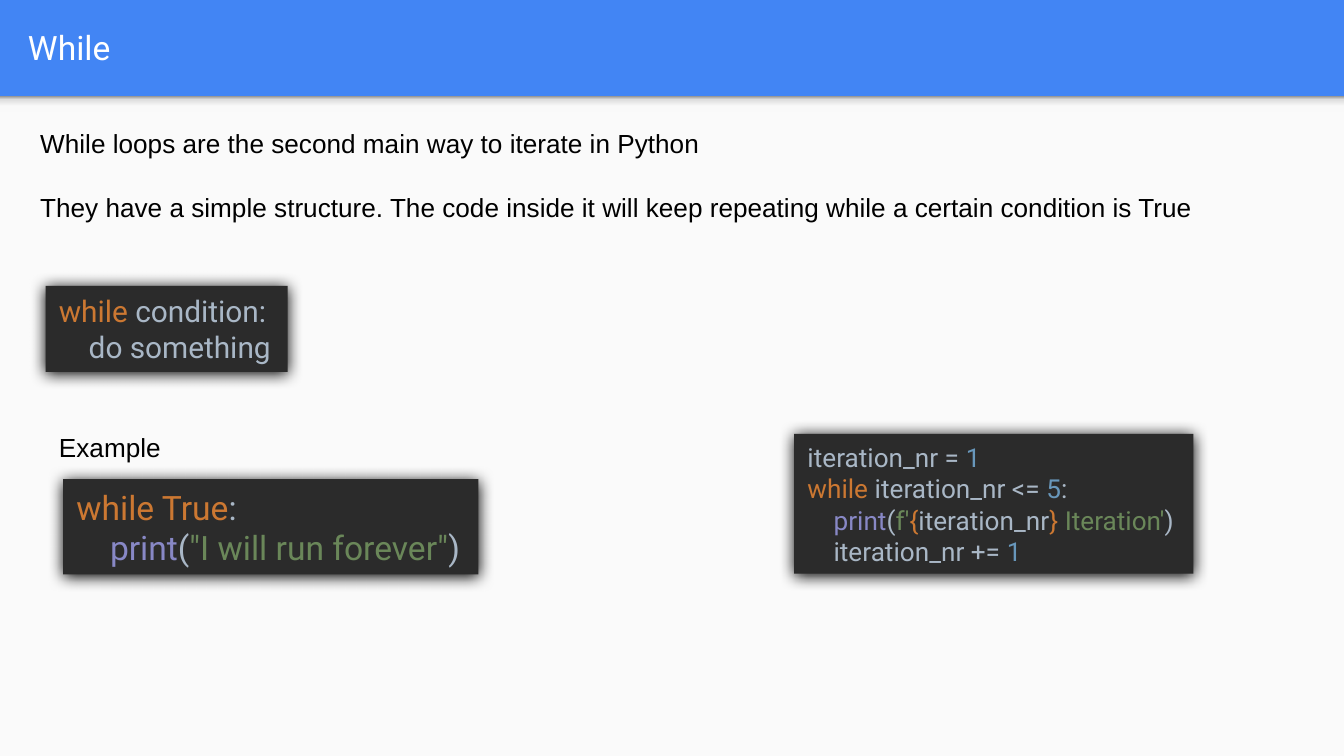
from lxml import etree
from pptx import Presentation
from pptx.dml.color import RGBColor
from pptx.enum.shapes import MSO_SHAPE
from pptx.enum.text import MSO_ANCHOR, MSO_AUTO_SIZE
from pptx.oxml.ns import qn
from pptx.util import Inches, Pt

RECTANGLE = MSO_SHAPE.RECTANGLE
MIDDLE = MSO_ANCHOR.MIDDLE
GROW = MSO_AUTO_SIZE.SHAPE_TO_FIT_TEXT

BLUE = RGBColor(0x42, 0x85, 0xF4)
PAPER = RGBColor(0xFA, 0xFA, 0xFA)
WHITE = RGBColor(0xFF, 0xFF, 0xFF)
BLACK = RGBColor(0x00, 0x00, 0x00)
EDITOR = RGBColor(0x2B, 0x2B, 0x2B)
KEYWORD = RGBColor(0xCC, 0x78, 0x32)
PLAIN = RGBColor(0xA9, 0xB7, 0xC6)
BUILTIN = RGBColor(0x88, 0x88, 0xC6)
STRING = RGBColor(0x6A, 0x87, 0x59)
NUMBER = RGBColor(0x68, 0x97, 0xBB)
# Position in percent and colour, from the bottom of the band to its top
BAND_STOPS = [(0, "F9F9F9"), (36, "F9F9F9"), (80, "DEDEDE"), (100, "999999")]

presentation = Presentation()
presentation.slide_width = Inches(10)
presentation.slide_height = Inches(5.625)
slide = presentation.slides.add_slide(presentation.slide_layouts[6])
slide.background.fill.solid()
slide.background.fill.fore_color.rgb = BLUE

# The slide is a grid of 100 columns by 100 rows
COLUMN = presentation.slide_width / 100
ROW = presentation.slide_height / 100


def grid_box(left, top, width, height):
    """Turn columns and rows into slide lengths."""
    return [round(n * unit) for n, unit in
            zip((left, top, width, height), (COLUMN, ROW, COLUMN, ROW))]


def add_rectangle(box, color):
    shape = slide.shapes.add_shape(RECTANGLE, *grid_box(*box))
    shape.shadow.inherit = False
    shape.fill.solid()
    shape.fill.fore_color.rgb = color
    shape.line.fill.background()
    return shape


# Page below the header, with a soft shade along its top edge
add_rectangle((0, 12.75, 100, 87.25), PAPER)
band = add_rectangle((0, 12.75, 100, 2.1), PAPER)
band.fill.gradient()
gradient = band._element.spPr.find(qn("a:gradFill"))
for child in list(gradient):
    gradient.remove(child)
stop_list = etree.SubElement(gradient, qn("a:gsLst"))
for position, color in BAND_STOPS:
    stop = etree.SubElement(stop_list, qn("a:gs"), pos=str(position * 1000))
    etree.SubElement(stop, qn("a:srgbClr"), val=color)
etree.SubElement(gradient, qn("a:lin"), ang=str(270 * 60000), scaled="0")

# Title and body text: box, font, size, colour, paragraphs
texts = [
    ((1.1, 0.4, 96.5, 11.7), "Roboto", 18, WHITE, ["While"]),
    ((2, 16, 93.8, 14.4), "Arial", 14, BLACK, [
        "While loops are the second main way to iterate in Python",
        "They have a simple structure. The code inside it will keep repeating "
        "while a certain condition is True"]),
    ((3.4, 56.2, 11.9, 6), "Arial", 14, BLACK, ["Example"]),
]
for box, font_name, size, color, lines in texts:
    frame = slide.shapes.add_textbox(*grid_box(*box)).text_frame
    frame.word_wrap = True
    if color == WHITE:
        frame.vertical_anchor = MIDDLE
    for index, line in enumerate(lines):
        paragraph = frame.add_paragraph() if index else frame.paragraphs[0]
        paragraph.text = line
        paragraph.font.name = font_name
        paragraph.font.size = Pt(size)
        paragraph.font.color.rgb = color
        if index:
            paragraph.space_before = Pt(17.5)

# Code panels: box, size, lines of (indent level, coloured pieces)
panels = [
    ((4.7, 63.4, 30.9, 12.6), 18, [
        (0, [("while True", KEYWORD), (":", PLAIN)]),
        (1, [("print", BUILTIN), ("(", PLAIN),
             ('"I will run forever"', STRING), (")", PLAIN)])]),
    ((3.4, 37.8, 18, 11.4), 16, [
        (0, [("while ", KEYWORD), ("condition:", PLAIN)]),
        (1, [("do something", PLAIN)])]),
    ((59.1, 57.4, 29.7, 18.5), 14, [
        (0, [("iteration_nr = ", PLAIN), ("1", NUMBER)]),
        (0, [("while ", KEYWORD), ("iteration_nr <= ", PLAIN),
             ("5", NUMBER), (":", PLAIN)]),
        (1, [("print", BUILTIN), ("(", PLAIN), ("f'", STRING),
             ("{", KEYWORD), ("iteration_nr", PLAIN), ("}", KEYWORD),
             (" Iteration'", STRING), (")", PLAIN)]),
        (1, [("iteration_nr += ", PLAIN), ("1", NUMBER)])]),
]
for box, size, lines in panels:
    panel = add_rectangle(box, EDITOR)
    effects = panel._element.spPr.find(qn("a:effectLst"))
    shadow = etree.SubElement(
        effects, qn("a:outerShdw"), blurRad=str(Pt(8.5)), dist=str(Pt(1)),
        dir=str(90 * 60000), algn="bl", rotWithShape="0")
    etree.SubElement(shadow, qn("a:srgbClr"), val="000000")
    frame = panel.text_frame
    frame.word_wrap = False
    frame.auto_size = GROW
    frame.vertical_anchor = MIDDLE
    for index, (level, pieces) in enumerate(lines):
        paragraph = frame.add_paragraph() if index else frame.paragraphs[0]
        properties = paragraph._p.get_or_add_pPr()
        properties.set("algn", "l")
        properties.set("marL", str(level * Pt(size)))
        paragraph.font.name = "Roboto"
        paragraph.font.size = Pt(size)
        for text, color in pieces:
            run = paragraph.add_run()
            run.text = text
            run.font.color.rgb = color

presentation.save("out.pptx")
